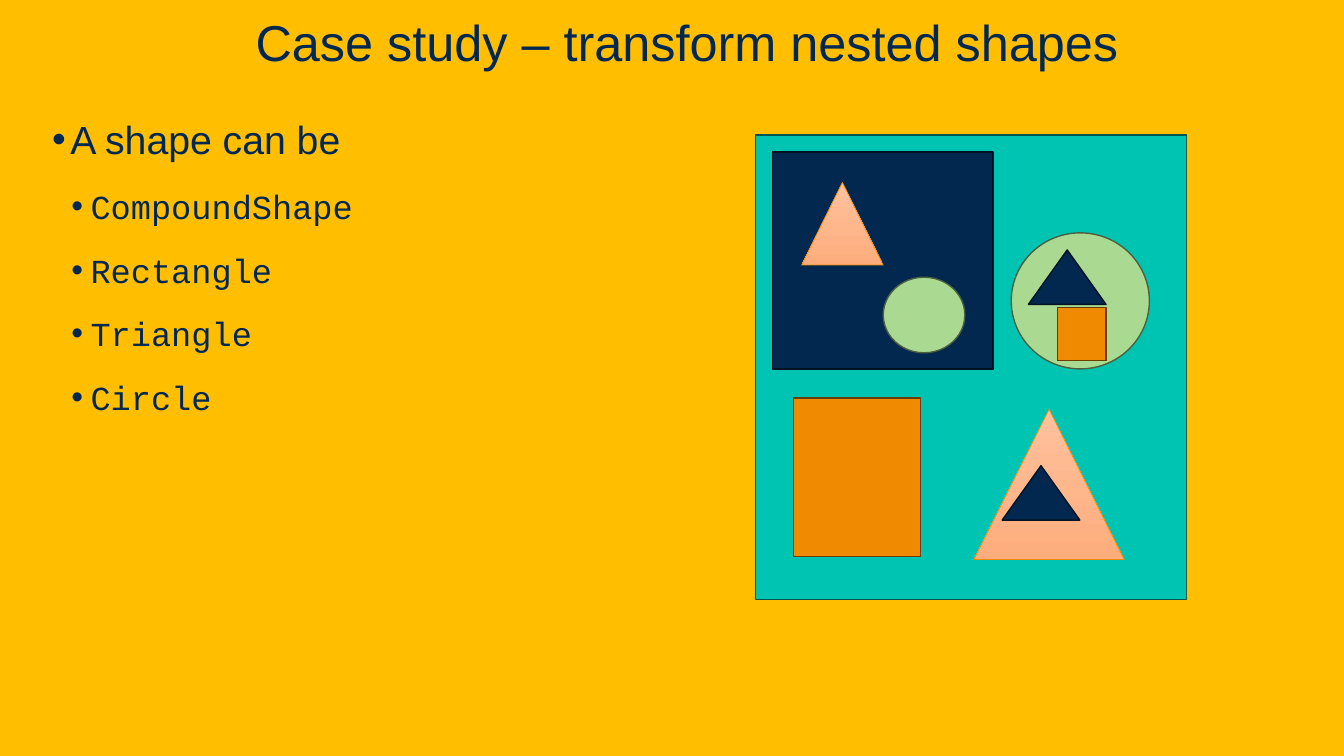
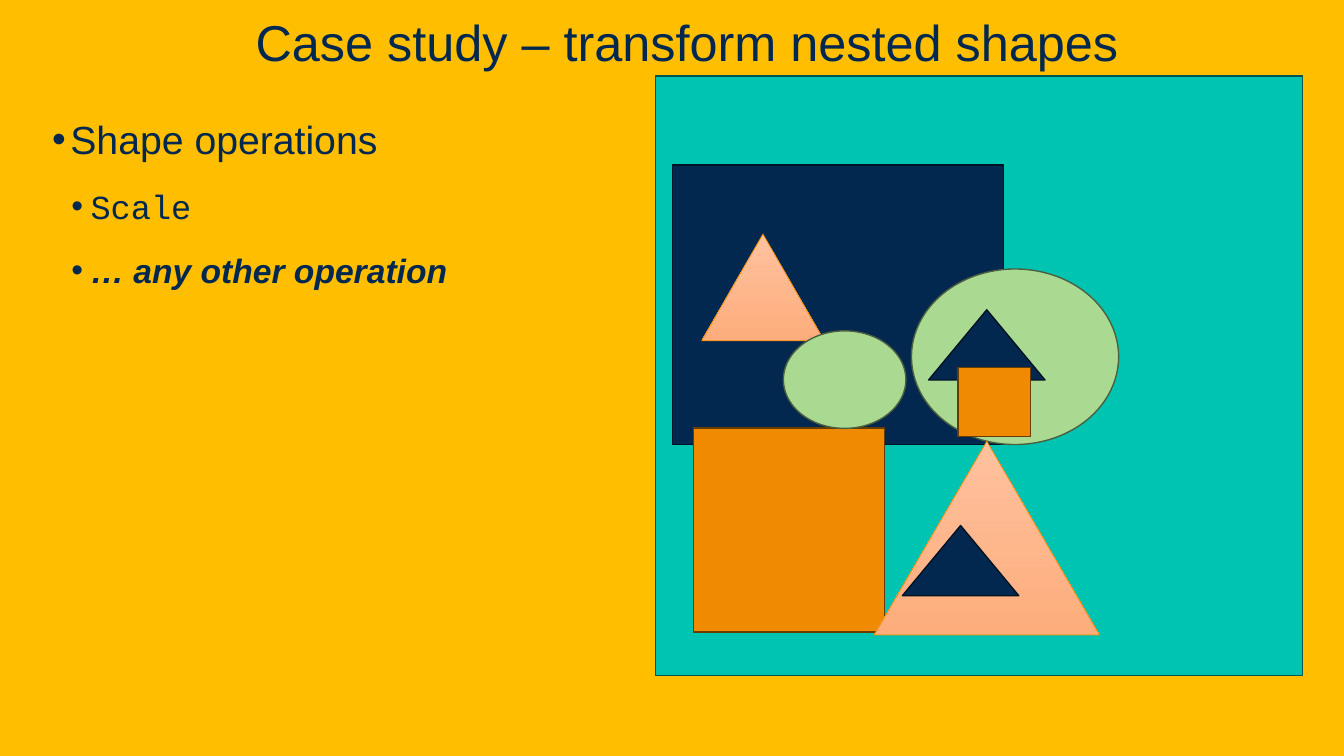
from lxml.etree import SubElement
from pptx import Presentation
from pptx.dml.color import RGBColor
from pptx.enum.shapes import MSO_SHAPE
from pptx.enum.text import MSO_ANCHOR, PP_ALIGN
from pptx.oxml.ns import qn
from pptx.util import Pt

PX = 9144
SLIDE_SIZE = (1333, 750)
TITLE = "Case study – transform nested shapes"
TITLE_BOX = (0, 0, 1333, 76)
BODY_BOX = (42, 100, 616, 538)
BACKGROUND, INK = "FFBE00", "022850"
SANS, CODE = "Arial", "Courier New"

STYLES = {
    "teal": (["00C4B2"], "00564E", 1),
    "navy": (["022850"], "011223", 1),
    "orange": (["F08A00"], "693C00", 1),
    "green": (["AADA91"], "4B6040", 1),
    "peach": (["FFC19E", "FDAD7C"], "F08A00", 0.5),
}
OUTLINES = {
    "rectangle": MSO_SHAPE.RECTANGLE,
    "circle": MSO_SHAPE.OVAL,
    "triangle": MSO_SHAPE.ISOSCELES_TRIANGLE,
}
NESTED_SHAPES = [
    ("rectangle", "teal", (749, 134, 428, 461)),
    ("rectangle", "navy", (766, 151, 219, 215)),
    ("rectangle", "orange", (787, 395, 126, 157)),
    ("circle", "green", (1003, 231, 137, 135)),
    ("triangle", "peach", (966, 406, 149, 149)),
    ("triangle", "peach", (795, 181, 81, 82)),
    ("circle", "green", (876, 275, 81, 75)),
    ("triangle", "navy", (994, 462, 77, 54)),
    ("triangle", "navy", (1020, 248, 77, 54)),
    ("rectangle", "orange", (1049, 305, 48, 53)),
]

ORIGINAL_SIZE = {"scale": (1, 1), "shift": (0, 0)}
ENLARGED = {"scale": (1.5, 1.29), "shift": (-99, 75)}
MONO = {"font": CODE}
EMPHASIS = {"bold": True, "italic": True}
SLIDES = [
    ("A shape can be",
     [(name, MONO) for name in ("CompoundShape", "Rectangle", "Triangle", "Circle")],
     ORIGINAL_SIZE),
    ("Shape operations",
     [("Scale", MONO), ("… any other operation", EMPHASIS)],
     ENLARGED),
]


def color(hex_code):
    return RGBColor.from_string(hex_code)


def emu(box):
    return [round(length * PX) for length in box]


def add_frame(slide, box, anchor=MSO_ANCHOR.TOP):
    frame = slide.shapes.add_textbox(*emu(box)).text_frame
    frame.word_wrap = True
    frame.vertical_anchor = anchor
    return frame


def write(paragraph, text, size, font=SANS, bold=False, italic=False, align=None,
          margin=0, hanging=0, bullet=None, line=None, before=0, after=0):
    paragraph.alignment = align
    paragraph.line_spacing = line
    paragraph.space_before, paragraph.space_after = Pt(before), Pt(after)
    properties = paragraph._p.get_or_add_pPr()
    properties.set("marL", str(margin * PX))
    properties.set("indent", str(-hanging * PX))
    if bullet:
        SubElement(properties, qn("a:buFont")).set("typeface", SANS)
        SubElement(properties, qn("a:buChar")).set("char", bullet)
    run = paragraph.add_run()
    run.text = text
    run.font.name, run.font.size = font, Pt(size)
    run.font.bold, run.font.italic = bold, italic
    run.font.color.rgb = color(INK)


def add_title(slide):
    frame = add_frame(slide, TITLE_BOX, MSO_ANCHOR.BOTTOM)
    write(frame.paragraphs[0], TITLE, 36, align=PP_ALIGN.CENTER, margin=30)


def add_body(slide, heading, items):
    frame = add_frame(slide, BODY_BOX)
    spacing = {"bullet": "•", "line": 1.2, "after": 6}
    write(frame.paragraphs[0], heading, 28, margin=18, hanging=18, **spacing)
    for text, look in items:
        write(frame.add_paragraph(), text, 24, margin=38, hanging=19,
              before=5, **spacing, **look)


def transform(box, scale, shift):
    left, top, width, height = box
    new_width, new_height = width * scale[0], height * scale[1]
    bottom = top + height + shift[1]
    return left + shift[0], bottom - new_height, new_width, new_height


def add_nested_shape(slide, outline, style, box):
    fills, edge, weight = STYLES[style]
    shape = slide.shapes.add_shape(OUTLINES[outline], *emu(box))
    shape.shadow.inherit = False
    if len(fills) == 1:
        shape.fill.solid()
        shape.fill.fore_color.rgb = color(fills[0])
    else:
        shape.fill.gradient()
        shape.fill.gradient_angle = 270
        for position, (stop, fill) in enumerate(zip(shape.fill.gradient_stops, fills)):
            stop.position = position
            stop.color.rgb = color(fill)
    shape.line.color.rgb = color(edge)
    shape.line.width = Pt(weight)


def main():
    deck = Presentation()
    deck.slide_width, deck.slide_height = emu(SLIDE_SIZE)
    backdrop = deck.slide_master.background.fill
    backdrop.solid()
    backdrop.fore_color.rgb = color(BACKGROUND)
    for heading, items, change in SLIDES:
        slide = deck.slides.add_slide(deck.slide_layouts[6])
        add_title(slide)
        add_body(slide, heading, items)
        for outline, style, box in NESTED_SHAPES:
            add_nested_shape(slide, outline, style, transform(box, **change))
    deck.save("out.pptx")


if __name__ == "__main__":
    main()
